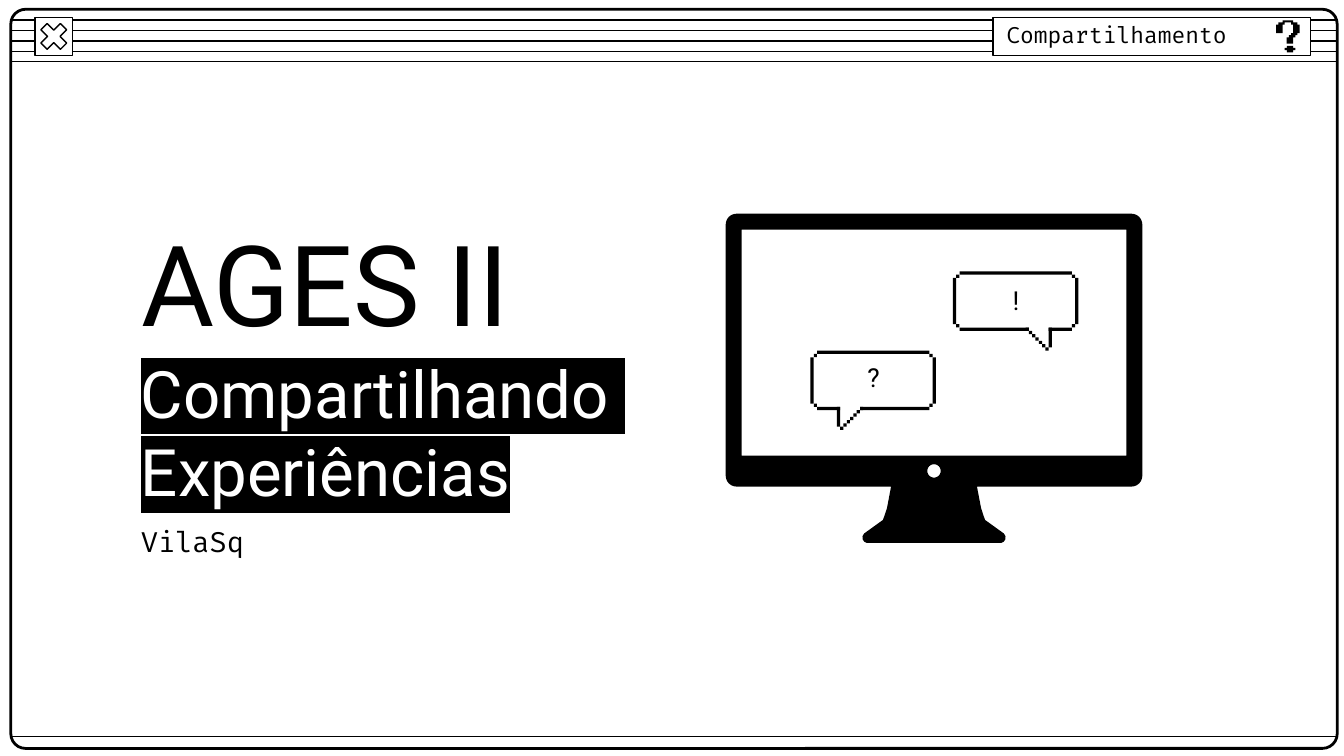
"""Build a retro window slide with a title and a monitor showing two speech bubbles."""
import math
from dataclasses import dataclass
from typing import Optional

from lxml import etree
from pptx import Presentation
from pptx import util as u
from pptx.dml.color import RGBColor
from pptx.enum import shapes, text
from pptx.oxml import ns

BLACK = RGBColor(0, 0, 0)
WHITE = RGBColor(255, 255, 255)
PRECISION = 100
Point = tuple[float, float]


@dataclass(frozen=True)
class Frame:
    left: float
    top: float
    width: float
    height: float


@dataclass(frozen=True)
class Label:
    words: str
    frame: Frame
    size: float
    font: str = "Roboto"
    color: RGBColor = BLACK
    highlight: Optional[RGBColor] = None
    align: text.PP_ALIGN = text.PP_ALIGN.LEFT
    anchor: text.MSO_ANCHOR = text.MSO_ANCHOR.MIDDLE


@dataclass(frozen=True)
class Bubble:
    left: float
    top: float
    mirrored: bool


TITLE = Label("AGES II", Frame(68.4, 118, 248.4, 66.3), 60)
LABELS = [
    Label("Compartilhando \nExperiências", Frame(68.4, 184.3, 275, 93.6), 35,
          color=WHITE, highlight=BLACK),
    Label("VilaSq", Frame(68.4, 277.9, 309.6, 24.5), 15, "Fira Code", highlight=WHITE),
    Label("?", Frame(435.6, 186.5, 64.8, 31.7), 14,
          align=text.PP_ALIGN.CENTER, anchor=text.MSO_ANCHOR.TOP),
    Label("!", Frame(523.4, 145.4, 41.8, 31.7), 14,
          align=text.PP_ALIGN.CENTER, anchor=text.MSO_ANCHOR.TOP),
    Label("Compartilhamento", Frame(532.1, 4.3, 169.9, 28.8), 12, "Fira Code",
          highlight=WHITE, anchor=text.MSO_ANCHOR.TOP),
]

BUBBLES = [Bubble(510.5, 145.4, False), Bubble(434.2, 187.9, True)]
BUBBLE_CELL = 1.77
BUBBLE_COLUMNS = 38
BUBBLE_CELLS = [
    Frame(2, 0, 34, 1), Frame(2, 17, 21, 1), Frame(29, 17, 7, 1),
    Frame(0, 2, 1, 14), Frame(37, 2, 1, 14), Frame(29, 17, 1, 6),
    *(Frame(column, row, 1, 1) for column in (1, 36) for row in (1, 16)),
    *(Frame(22 + step, 17 + step, 1, 1) for step in range(7)),
]

MARK_LEFT, MARK_TOP, MARK_CELL = 683.7, 10.9, 1.14
MARK_HOOK = [
    (3, 0), (3, 1), (1, 1), (1, 2), (0, 2), (0, 6), (3, 6), (3, 2), (4, 2), (4, 1),
    (7, 1), (7, 2), (8, 2), (8, 6), (7, 6), (7, 7), (6, 7), (6, 8), (5, 8), (5, 11),
    (8, 11), (8, 8), (9, 8), (9, 7), (10, 7), (10, 6), (11, 6), (11, 2), (10, 2),
    (10, 1), (8, 1), (8, 0),
]
MARK_DOT = [(5, 12), (5, 13), (4, 13), (4, 14), (5, 14), (5, 15),
            (8, 15), (8, 14), (9, 14), (9, 13), (8, 13), (8, 12)]

MONITOR_CENTER = 500.4
STAND = [(23, 260.7), (25.2, 272.2), (26.6, 276.5), (27.4, 278.6), (29.5, 280.1),
         (37.4, 285.8), (38.3, 287.3), (38.2, 289), (37.4, 290.2), (36, 290.9)]


def fit(frame: Frame) -> tuple[u.Pt, u.Pt, u.Pt, u.Pt]:
    return u.Pt(frame.left), u.Pt(frame.top), u.Pt(frame.width), u.Pt(frame.height)


def arc(x: float, y: float, radius: float, start: int, end: int) -> list[Point]:
    angles = [math.radians(angle) for angle in range(start, end + 1, 15)]
    return [(x + radius * math.cos(a), y + radius * math.sin(a)) for a in angles]


def paint(shape, fill: Optional[RGBColor], weight: float = 0) -> None:
    shape.shadow.inherit = False
    if fill is None:
        shape.fill.background()
    else:
        shape.fill.solid()
        shape.fill.fore_color.rgb = fill
    if weight:
        shape.line.color.rgb = BLACK
        shape.line.width = u.Pt(weight)
    else:
        shape.line.fill.background()


def draw_preset(parent, kind, frame: Frame, fill: Optional[RGBColor],
                weight: float = 0, adjust: Optional[float] = None) -> None:
    shape = parent.add_shape(kind, *fit(frame))
    if adjust is not None:
        shape.adjustments[0] = adjust
    paint(shape, fill, weight)


def draw_rule(parent, y: float) -> None:
    rule = parent.add_connector(shapes.MSO_CONNECTOR.STRAIGHT,
                                u.Pt(6), u.Pt(y), u.Pt(716.4), u.Pt(y))
    rule.line.color.rgb = BLACK
    rule.line.width = u.Pt(0.75)
    etree.SubElement(rule.element.spPr, ns.qn("a:effectLst"))


def draw_outline(parent, contours: list[list[Point]]) -> None:
    scaled = [[(x * PRECISION, y * PRECISION) for x, y in contour] for contour in contours]
    builder = parent.build_freeform(*scaled[0][0], scale=u.Pt(1) / PRECISION)
    builder.add_line_segments(scaled[0][1:], close=True)
    for contour in scaled[1:]:
        builder.move_to(*contour[0])
        builder.add_line_segments(contour[1:], close=True)
    paint(builder.convert_to_shape(), BLACK)


def draw_monitor(parent) -> None:
    half = arc(105.8, 120.3, 5.8, -90, 0) + arc(105.8, 254.9, 5.8, 0, 90) + STAND
    body = half + [(-x, y) for x, y in reversed(half)]
    button = arc(0, 252.3, 3.6, 0, 345)
    screen = [(103, 244.1), (-103, 244.1), (-103, 123.1), (103, 123.1)]
    draw_outline(parent, [[(MONITOR_CENTER + x, y) for x, y in contour]
                          for contour in (body, button, screen)])


def draw_bubble(parent, bubble: Bubble) -> None:
    group = parent.add_group_shape().shapes
    for cell in BUBBLE_CELLS:
        column = BUBBLE_COLUMNS - cell.left - cell.width if bubble.mirrored else cell.left
        frame = Frame(bubble.left + column * BUBBLE_CELL, bubble.top + cell.top * BUBBLE_CELL,
                      cell.width * BUBBLE_CELL, cell.height * BUBBLE_CELL)
        draw_preset(group, shapes.MSO_SHAPE.RECTANGLE, frame, BLACK)


def write(box, label: Label) -> None:
    box.left, box.top, box.width, box.height = fit(label.frame)
    body = box.text_frame
    body.text = label.words
    body.word_wrap = True
    body.auto_size = text.MSO_AUTO_SIZE.NONE
    body.vertical_anchor = label.anchor
    body.margin_left = body.margin_right = body.margin_top = body.margin_bottom = u.Pt(7.2)
    for para in body.paragraphs:
        para.alignment = label.align
        for span in para.runs:
            span.font.size = u.Pt(label.size)
            span.font.color.rgb = label.color
            span.font.name = label.font
            if label.highlight is not None:
                mark = etree.Element(ns.qn("a:highlight"))
                etree.SubElement(mark, ns.qn("a:srgbClr"), val=str(label.highlight))
                span.font.fill._xPr.find(ns.qn("a:solidFill")).addnext(mark)


def draw_window(parent) -> None:
    for index in range(5):
        draw_rule(parent, 10.8 + index * 5.55)
    draw_rule(parent, 394.6)
    kinds = shapes.MSO_SHAPE
    draw_preset(parent, kinds.ROUNDED_RECTANGLE, Frame(5.8, 5, 710.6, 396), None, 1.5, 0.02)
    button = Frame(18.7, 9.4, 20.2, 20.2)
    draw_preset(parent, kinds.RECTANGLE, button, WHITE, 0.75)
    draw_preset(parent, kinds.MATH_MULTIPLY, button, WHITE, 0.75, 0.235)
    draw_preset(parent, kinds.RECTANGLE, Frame(532.1, 9.4, 169.9, 20.2), WHITE, 0.75)
    for outline in (MARK_DOT, MARK_HOOK):
        draw_outline(parent, [[(MARK_LEFT + x * MARK_CELL, MARK_TOP + y * MARK_CELL)
                               for x, y in outline]])


def main() -> None:
    deck = Presentation()
    deck.slide_width, deck.slide_height = u.Pt(720), u.Pt(405)
    page = deck.slides.add_slide(deck.slide_layouts.get_by_name("Title Only"))
    draw_window(page.shapes)
    draw_monitor(page.shapes)
    for bubble in BUBBLES:
        draw_bubble(page.shapes, bubble)
    write(page.shapes.title, TITLE)
    for label in LABELS:
        write(page.shapes.add_textbox(*fit(label.frame)), label)
    deck.save("out.pptx")


if __name__ == "__main__":
    main()
